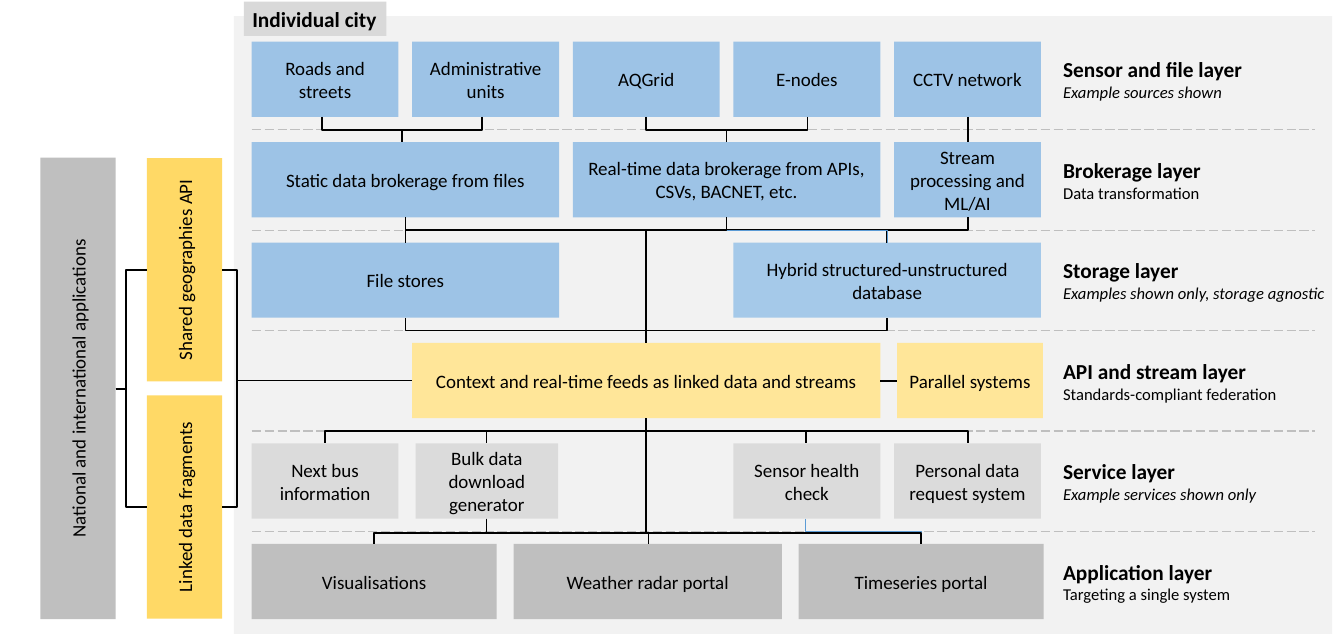
from lxml import etree
from pptx import Presentation
from pptx import util as u
from pptx.dml import color
from pptx.enum import dml, shapes, text
from pptx.oxml import ns

theme = {
    "panel": "F2F2F2", "tag": "D9D9D9", "source": "9DC3E6", "hybrid": "A5C9E9",
    "api": "FFE699", "shared": "FFD966", "service": "DBDBDB", "application": "BFBFBF",
    "divider": "BFBFBF", "ink": "000000", "accent": "5B9BD5",
    "body": {"name": "Calibri", "size": u.Pt(16), "bold": False},
    "heading": {"name": "Calibri", "size": u.Pt(18), "bold": True},
    "detail": {"name": "Calibri", "size": u.Pt(14), "bold": False},
    "example": {"name": "Calibri", "size": u.Pt(14), "bold": False, "italic": True},
}

deck = Presentation()
deck.slide_width, deck.slide_height = u.Cm(40), u.Cm(19.05)
slide = deck.slides.add_slide(deck.slide_layouts[6])


def add_block(left, top, width, height, fill, lines, align=text.PP_ALIGN.CENTER):
    box = [u.Cm(n) for n in (left, top, width, height)]
    if fill:
        block = slide.shapes.add_shape(shapes.MSO_SHAPE.RECTANGLE, *box)
        block.shadow.inherit = False
        block.fill.solid()
        block.fill.fore_color.rgb = color.RGBColor.from_string(theme[fill])
        block.line.fill.background()
    else:
        block = slide.shapes.add_textbox(*box)
    frame = block.text_frame
    frame.word_wrap = True
    frame.vertical_anchor = text.MSO_ANCHOR.MIDDLE
    for index, (words, style) in enumerate(lines):
        paragraph = frame.add_paragraph() if index else frame.paragraphs[0]
        paragraph.alignment = align
        run = paragraph.add_run()
        run.text = words
        for key, value in theme[style].items():
            setattr(run.font, key, value)
        run.font.color.rgb = color.RGBColor.from_string(theme["ink"])
    return block


def add_line(x1, y1, x2, y2, ink="ink", weight=1.5, bend=None, turn=0):
    kind = shapes.MSO_CONNECTOR.STRAIGHT if bend is None else shapes.MSO_CONNECTOR.ELBOW
    line = slide.shapes.add_connector(kind, *[u.Cm(n) for n in (x1, y1, x2, y2)])
    line.line.color.rgb = color.RGBColor.from_string(theme[ink])
    line.line.width = u.Pt(weight)
    properties = line._element.spPr
    etree.SubElement(properties, ns.qn("a:effectLst"))
    if bend is not None:
        guide = etree.SubElement(properties.find(".//" + ns.qn("a:avLst")), ns.qn("a:gd"))
        guide.set("name", "adj1")
        guide.set("fmla", f"val {round(bend * 100000)}")
    if turn:
        properties.find(ns.qn("a:xfrm")).set("rot", str(turn * 60000))
    return line


HEIGHT = 2.24
tops = [1.24 + 2.99 * row for row in range(6)]
bottoms = [top + HEIGHT for top in tops]
rails = [top + 2.62 for top in tops[:5]]
columns = [7.49 + 4.78 * column for column in range(5)]
one, two, three = [4.37 + 4.78 * extra for extra in range(3)]

add_block(6.96, 0.48, 32.69, 18.39, "panel", [])
for rail in rails:
    divider = add_line(7.49, rail, 39.14, rail, "divider", 1)
    divider.line.dash_style = dml.MSO_LINE.LONG_DASH

layers = [
    ("Sensor and file layer", "Example sources shown", "example", [
        (columns[0], one, "source", "Roads and streets"),
        (columns[1], one, "source", "Administrative units"),
        (columns[2], one, "source", "AQGrid"),
        (columns[3], one, "source", "E-nodes"),
        (columns[4], one, "source", "CCTV network")]),
    ("Brokerage layer", "Data transformation", "detail", [
        (columns[0], two, "source", "Static data brokerage from files"),
        (columns[2], two, "source", "Real-time data brokerage from APIs, CSVs, BACNET, etc."),
        (columns[4], one, "source", "Stream processing and ML/AI")]),
    ("Storage layer", "Examples shown only, storage agnostic", "example", [
        (columns[0], two, "source", "File stores"),
        (columns[3], two, "hybrid", "Hybrid structured-unstructured database")]),
    ("API and stream layer", "Standards-compliant federation", "detail", [
        (columns[1], three, "api", "Context and real-time feeds as linked data and streams"),
        (26.7, 4.34, "api", "Parallel systems")]),
    ("Service layer", "Example services shown only", "example", [
        (columns[0], one, "service", "Next bus information"),
        (12.37, 4.24, "service", "Bulk data download generator"),
        (columns[3], one, "service", "Sensor health check"),
        (columns[4], one, "service", "Personal data request system")]),
    ("Application layer", "Targeting a single system", "detail", [
        (7.49, 7.29, "application", "Visualisations"),
        (15.29, 7.98, "application", "Weather radar portal"),
        (23.77, 7.29, "application", "Timeseries portal")]),
]
for top, (heading, detail, style, blocks) in zip(tops, layers):
    for left, width, fill, words in blocks:
        add_block(left, top, width, HEIGHT, fill, [(words, "body")])
    add_block(31.39, top, 8.61, HEIGHT, None,
              [(heading, "heading"), (detail, style)], text.PP_ALIGN.LEFT)

sidebars = [
    (5.49, 15.09, 6.65, "shared", "Linked data fragments"),
    (5.49, 8.03, 6.65, "shared", "Shared geographies API"),
    (2.32, 11.56, 13.74, "application", "National and international applications"),
]
for centre_x, centre_y, length, fill, words in sidebars:
    sidebar = add_block(centre_x - length / 2, centre_y - HEIGHT / 2, length, HEIGHT,
                        fill, [(words, "body")])
    sidebar.rotation = 270

hub, stream, files, database, bulk, health, timeseries = 19.23, 28.8, 12.07, 26.41, 14.48, 23.98, 27.41
black, thin = ("ink", 1.5), ("accent", 0.5)
application_rail = rails[4] + 0.05
flows = [
    (0, 1, rails[0], black, [(24.03, 21.62), (hub, 21.62), (14.35, 11.96), (9.58, 11.96)]),
    (1, 2, rails[1], black, [(files, database), (stream, database)]),
    (1, 2, rails[1], thin, [(21.62, database)]),
    (1, 2, rails[1], black, [(21.62, files)]),
    (2, 3, rails[2], black, [(files, hub), (database, hub)]),
    (3, 4, rails[3], black, [(hub, x) for x in (stream, health, bulk, 9.68)]),
    (3, 5, application_rail, black, [(hub, timeseries), (hub, 11.13)]),
    (4, 5, rails[4], thin, [(health, timeseries)]),
    (4, 5, application_rail, black, [(bulk, timeseries), (bulk, 19.3)]),
]
for upper, lower, rail, style, ends in flows:
    start_y, end_y = bottoms[upper], tops[lower]
    drop, middle_y = end_y - start_y, (start_y + end_y) / 2
    for start_x, end_x in ends:
        middle_x, half_run = (start_x + end_x) / 2, abs(end_x - start_x) / 2
        half_drop, turn = (drop / 2, 270) if end_x > start_x else (-drop / 2, 90)
        add_line(middle_x + half_drop, middle_y - half_run,
                 middle_x - half_drop, middle_y + half_run,
                 *style, bend=(rail - start_y) / drop, turn=turn)

feed_y = tops[3] + HEIGHT / 2
add_line(stream, bottoms[0], stream, tops[1])
add_line(hub, rails[1], hub, tops[3])
add_line(columns[1] + three, feed_y, 26.7, feed_y)
for branch_y in (8.03, 15.09):
    add_line(6.61, branch_y, columns[1], feed_y, bend=0.08)
    add_line(3.44, 11.58, 4.37, branch_y, bend=0.34)

city = add_block(7.26, 0.05, 4.24, 1.02, "tag", [("Individual city", "heading")], text.PP_ALIGN.LEFT)
city.text_frame.word_wrap = False
city.text_frame.vertical_anchor = text.MSO_ANCHOR.TOP

deck.save("out.pptx")
